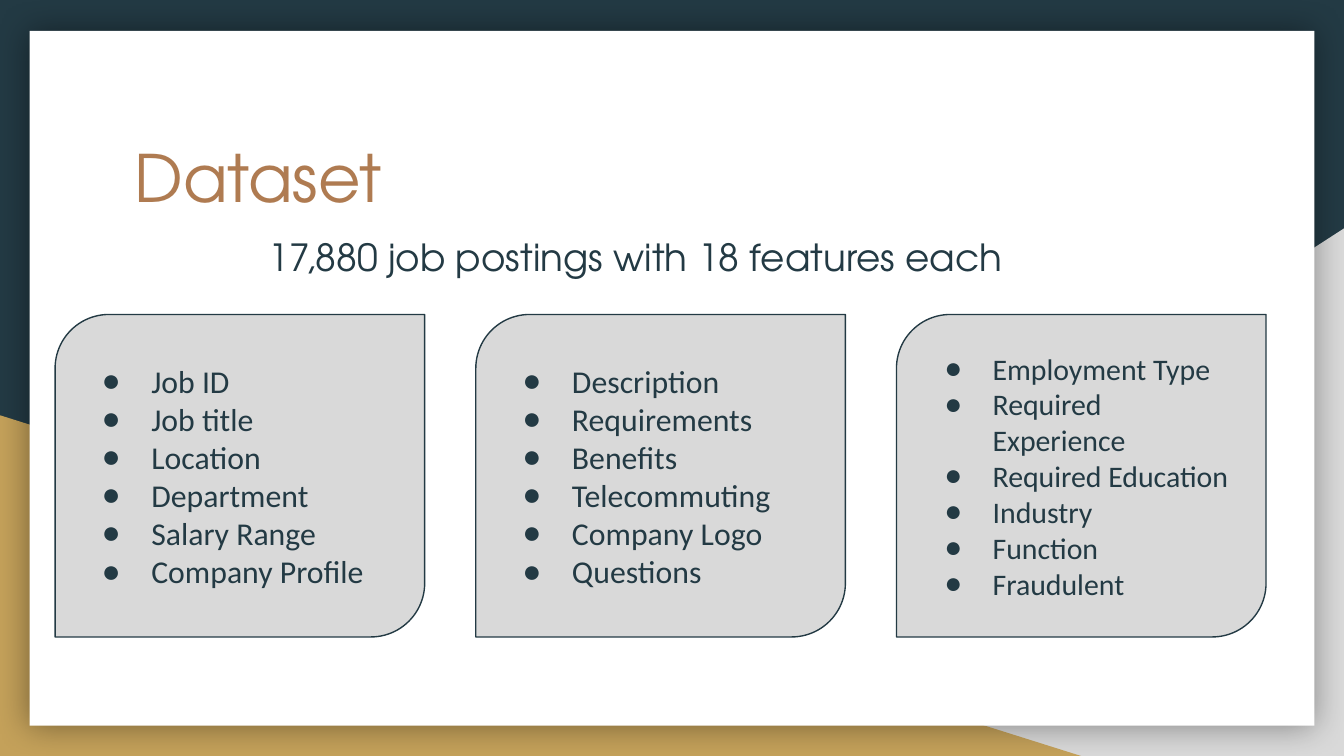
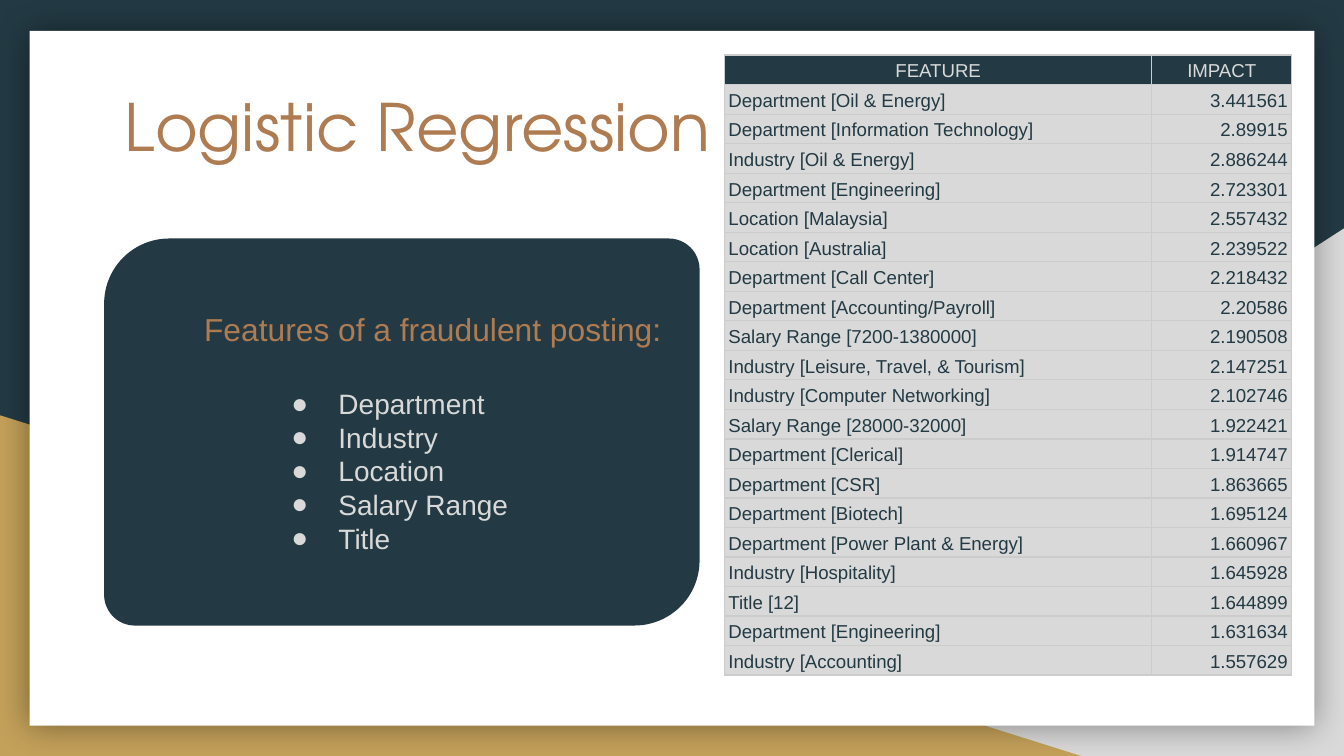
from lxml import etree
from pptx import Presentation
from pptx.dml.color import RGBColor
from pptx.enum.shapes import MSO_SHAPE
from pptx.enum.text import MSO_ANCHOR, MSO_AUTO_SIZE, PP_ALIGN
from pptx.oxml.ns import qn
from pptx.util import Inches, Pt

# Shared style
NAVY, GOLD, GRAY, BRONZE, WHITE = "233A44", "C4A15A", "D9D9D9", "AF7B51", "FFFFFF"
BORDER = "CCCCCC"
TITLE_FONT, CARD_FONT, BODY_FONT = "TeX Gyre Adventor", "Calibri", "Arial"

# Content: slide 1
DATASET_TITLE = "Dataset"
DATASET_SUMMARY = "17,880 job postings with 18 features each"
# (features, text size, hanging indent)
FEATURE_CARDS = [
    (["Job ID", "Job title", "Location", "Department", "Salary Range",
      "Company Profile"], 17, 0.37),
    (["Description", "Requirements", "Benefits", "Telecommuting",
      "Company Logo", "Questions"], 17, 0.37),
    (["Employment Type", "Required Experience", "Required Education",
      "Industry", "Function", "Fraudulent"], 16, 0.36),
]

# Content: slide 2
REGRESSION_TITLE = "Logistic Regression"
FRAUD_HEADING = "Features of a fraudulent posting:"
FRAUD_FEATURES = ["Department", "Industry", "Location", "Salary Range", "Title"]
IMPACT_HEADER = ("FEATURE", "IMPACT")
IMPACTS = [
    ("Department [Oil & Energy]", "3.441561"),
    ("Department [Information Technology]", "2.89915"),
    ("Industry [Oil & Energy]", "2.886244"),
    ("Department [Engineering]", "2.723301"),
    ("Location [Malaysia]", "2.557432"),
    ("Location [Australia]", "2.239522"),
    ("Department [Call Center]", "2.218432"),
    ("Department [Accounting/Payroll]", "2.20586"),
    ("Salary Range [7200-1380000]", "2.190508"),
    ("Industry [Leisure, Travel, & Tourism]", "2.147251"),
    ("Industry [Computer Networking]", "2.102746"),
    ("Salary Range [28000-32000]", "1.922421"),
    ("Department [Clerical]", "1.914747"),
    ("Department [CSR]", "1.863665"),
    ("Department [Biotech]", "1.695124"),
    ("Department [Power Plant & Energy]", "1.660967"),
    ("Industry [Hospitality]", "1.645928"),
    ("Title [12]", "1.644899"),
    ("Department [Engineering]", "1.631634"),
    ("Industry [Accounting]", "1.557629"),
]
IMPACT_WIDTHS = (3.18, 1.04)
ROW_HEIGHT = 0.22


def rgb(color):
    return RGBColor.from_string(color)


def child(parent, tag, **attributes):
    element = etree.SubElement(parent, qn(tag))
    for name, value in attributes.items():
        element.set(name, str(value))
    return element


def add_run(paragraph, text, size, font, color):
    run = paragraph.add_run()
    run.text = text
    run.font.size, run.font.name, run.font.bold = Pt(size), font, False
    run.font.color.rgb = rgb(color)


def indent(paragraph, left, hanging=0, bullet_color=None):
    properties = paragraph._p.get_or_add_pPr()
    properties.set("marL", str(Inches(left)))
    properties.set("indent", str(-Inches(hanging)))
    if bullet_color:
        child(child(properties, "a:buClr"), "a:srgbClr", val=bullet_color)
        child(properties, "a:buFont", typeface=BODY_FONT)
        child(properties, "a:buChar", char="●")


def next_paragraph(frame):
    """Use the empty first paragraph, then add further ones."""
    first = frame.paragraphs[0]
    paragraph = frame.add_paragraph() if first.runs else first
    paragraph.alignment = PP_ALIGN.LEFT
    return paragraph


def set_frame(frame, anchor):
    frame.word_wrap = True
    frame.auto_size = MSO_AUTO_SIZE.NONE
    frame.vertical_anchor = anchor
    frame.margin_left = frame.margin_right = Inches(0.1)
    frame.margin_top = frame.margin_bottom = Inches(0.1)


def add_block(slide, kind, box, fill, line=None):
    block = slide.shapes.add_shape(kind, *map(Inches, box))
    block.shadow.inherit = False
    block.fill.solid()
    block.fill.fore_color.rgb = rgb(fill)
    if line:
        block.line.color.rgb = rgb(line)
        block.line.width = Pt(0.75)
    else:
        block.line.fill.background()
    return block


def add_card(slide, box, fill, corners):
    card = add_block(slide, MSO_SHAPE.ROUND_2_DIAG_RECTANGLE, box, fill, NAVY)
    for index, corner in enumerate(corners):
        card.adjustments[index] = corner
    set_frame(card.text_frame, MSO_ANCHOR.MIDDLE)
    return card.text_frame


def add_bullets(frame, items, size, font, color, left, hanging):
    for item in items:
        paragraph = next_paragraph(frame)
        indent(paragraph, left, hanging, color)
        add_run(paragraph, item, size, font, color)


def set_title(slide, text, box):
    title = slide.shapes.title
    title.left, title.top, title.width, title.height = map(Inches, box)
    set_frame(title.text_frame, MSO_ANCHOR.TOP)
    add_run(next_paragraph(title.text_frame), text, 35, TITLE_FONT, BRONZE)
    return title.text_frame


def decorate_layout(layout, slide):
    """Draw the shared backdrop and move it behind the layout's placeholders."""
    layout.background.fill.solid()
    layout.background.fill.fore_color.rgb = rgb(NAVY)
    gray_corner = add_block(slide, MSO_SHAPE.RIGHT_TRIANGLE, (3.92, 1.7, 6.08, 3.93), GRAY)
    gray_corner.element.spPr.find(qn("a:xfrm")).set("flipH", "1")
    gold_corner = add_block(slide, MSO_SHAPE.RIGHT_TRIANGLE, (0, 3.09, 8.06, 2.54), GOLD)
    paper = add_block(slide, MSO_SHAPE.RECTANGLE, (0.22, 0.23, 9.56, 5.17), WHITE)
    effects = paper.element.spPr.find(qn("a:effectLst"))
    glow = child(effects, "a:outerShdw", blurRad=Pt(18), dist=0, dir=0,
                 algn="ctr", rotWithShape=0)
    child(child(glow, "a:srgbClr", val="000000"), "a:alpha", val=40000)
    for position, part in enumerate((gray_corner, gold_corner, paper), start=2):
        layout.shapes.element.insert(position, part.element)


def fill_cell(cell, text, fill, color, alignment):
    cell.margin_left = cell.margin_right = Inches(0.03)
    cell.margin_top = cell.margin_bottom = Inches(0.02)
    cell.vertical_anchor = MSO_ANCHOR.BOTTOM
    paragraph = cell.text_frame.paragraphs[0]
    paragraph.alignment = alignment
    paragraph.line_spacing = 1.15
    add_run(paragraph, text, 10, BODY_FONT, color)
    # Borders come before the fill in the cell properties
    properties = cell._tc.get_or_add_tcPr()
    for side in ("a:lnL", "a:lnR", "a:lnT", "a:lnB"):
        border = child(properties, side, w=Pt(0.75))
        child(child(border, "a:solidFill"), "a:srgbClr", val=BORDER)
    cell.fill.solid()
    cell.fill.fore_color.rgb = rgb(fill)


def add_impact_table(slide):
    rows = [IMPACT_HEADER] + IMPACTS
    size = (sum(IMPACT_WIDTHS), ROW_HEIGHT * len(rows))
    table = slide.shapes.add_table(len(rows), len(IMPACT_WIDTHS),
                                   *map(Inches, (5.39, 0.41, *size))).table
    table.first_row = table.horz_banding = False
    for column, width in zip(table.columns, IMPACT_WIDTHS):
        column.width = Inches(width)
    for r, row in enumerate(rows):
        table.rows[r].height = Inches(ROW_HEIGHT)
        for c, text in enumerate(row):
            if r == 0:
                look = (NAVY, GRAY, PP_ALIGN.CENTER)
            else:
                look = (GRAY, NAVY, (PP_ALIGN.LEFT, PP_ALIGN.RIGHT)[c])
            fill_cell(table.cell(r, c), text, *look)


def build_dataset(slide):
    heading = set_title(slide, DATASET_TITLE, (0.9, 0.92, 8.21, 0.61))
    summary = next_paragraph(heading)
    summary.space_before = Pt(10)
    indent(summary, 1)
    add_run(summary, DATASET_SUMMARY, 20, TITLE_FONT, NAVY)
    for index, (features, size, hanging) in enumerate(FEATURE_CARDS):
        box = (0.41 + 3.13 * index, 2.34, 2.75, 2.4)
        card = add_card(slide, box, GRAY, (0.167, 0))
        add_bullets(card, features, size, CARD_FONT, NAVY, 0.5, hanging)


def build_regression(slide):
    set_title(slide, REGRESSION_TITLE, (0.83, 0.54, 8.21, 0.67))
    panel = add_card(slide, (0.78, 1.78, 4.42, 2.87), NAVY, (0.167, 0.078))
    heading = next_paragraph(panel)
    heading.space_after = Pt(21)
    indent(heading, 0.5)
    add_run(heading, FRAUD_HEADING, 17, BODY_FONT, BRONZE)
    add_bullets(panel, FRAUD_FEATURES, 15, BODY_FONT, GRAY, 1.5, 0.35)
    add_impact_table(slide)


def main():
    deck = Presentation()
    # Widescreen, 16:9
    deck.slide_width, deck.slide_height = Inches(10), Inches(10 * 9 / 16)
    title_only = deck.slide_layouts[5]
    dataset = deck.slides.add_slide(title_only)
    decorate_layout(title_only, dataset)
    build_dataset(dataset)
    build_regression(deck.slides.add_slide(title_only))
    deck.save("out.pptx")


if __name__ == "__main__":
    main()
